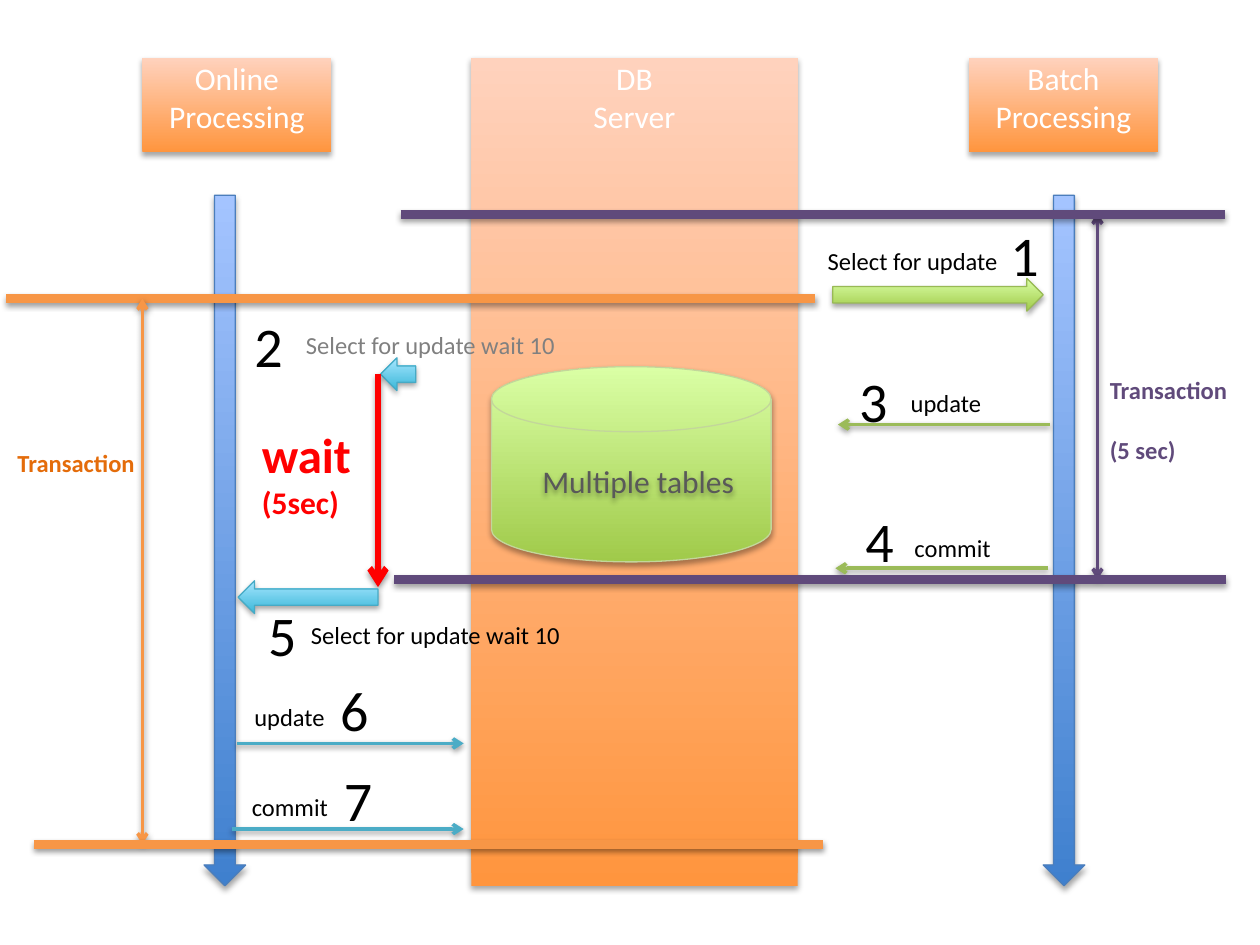
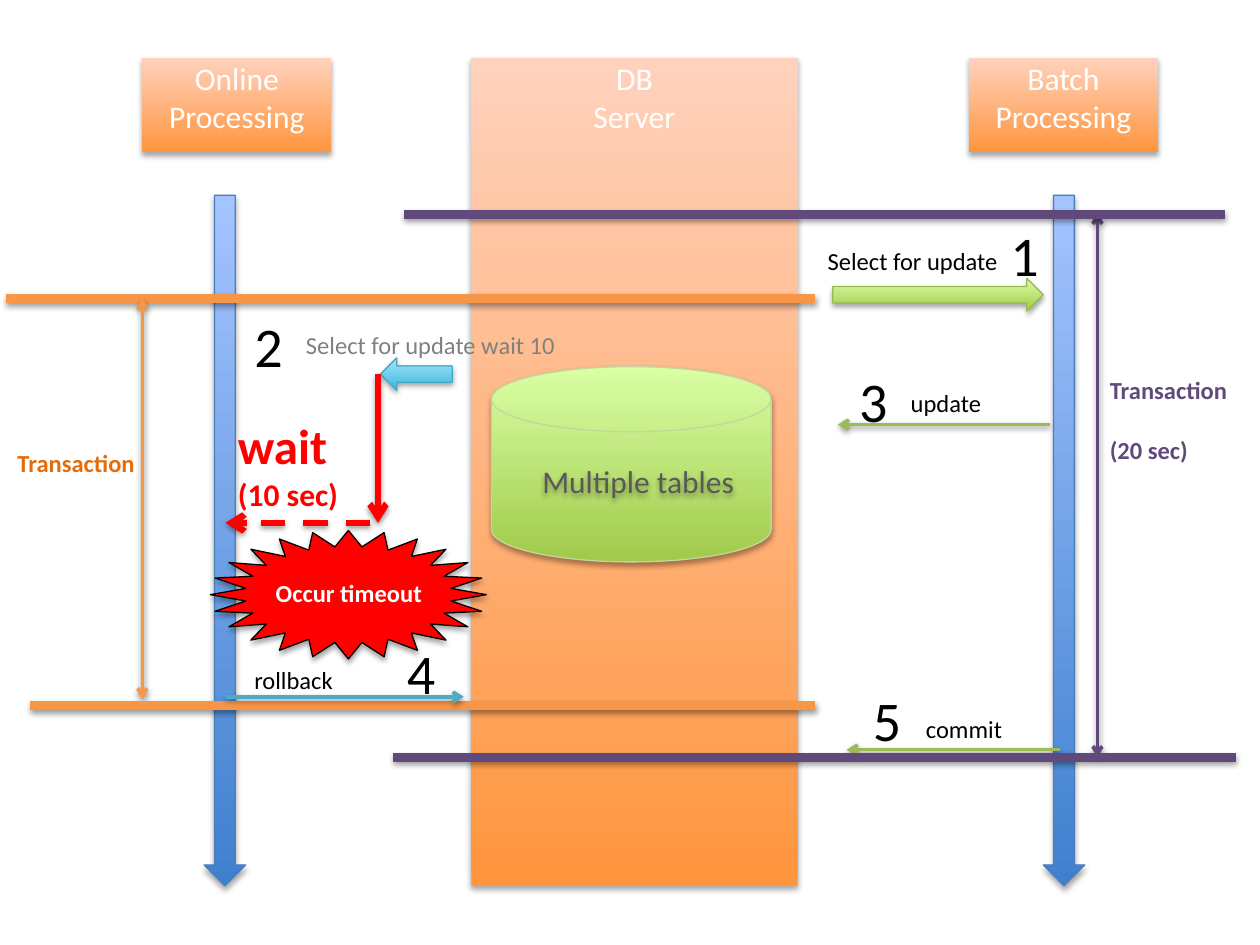
"""Build two sequence diagrams of online and batch transactions competing for row locks."""
from dataclasses import dataclass
from typing import Any, Optional, Union

import lxml.etree
import pptx
import pptx.dml.color
import pptx.enum.dml
import pptx.enum.shapes
import pptx.enum.text
import pptx.oxml.ns
import pptx.util

Inches = pptx.util.Inches
MSO = pptx.enum.shapes.MSO_SHAPE
ALIGN = pptx.enum.text.PP_ALIGN
ANCHOR = pptx.enum.text.MSO_ANCHOR


@dataclass(frozen=True)
class Skin:
    """Fill colours from bottom to top, and an optional outline."""
    bottom: str
    top: str
    outline: Optional[str] = None


@dataclass(frozen=True)
class Theme:
    """Colours, type sizes and line weights used on every slide."""
    font: str = "Calibri"
    black: str = "000000"
    white: str = "FFFFFF"
    gray: str = "808080"
    dark_gray: str = "595959"
    red: str = "FF0000"
    orange: str = "F79646"
    dark_orange: str = "E46C0A"
    purple: str = "604A7B"
    green: str = "9BBB59"
    teal: str = "4BACC6"
    number: float = 32
    alert: float = 28
    heading: float = 18
    caption: float = 14
    thin: float = 2
    medium: float = 3.5
    thick: float = 5
    outline: float = 0.75
    header: Skin = Skin("FF953E", "FFD2BD")
    lane: Skin = Skin("3F80CE", "A4C4FF", "4B7EBC")
    batch: Skin = Skin("A0CA4A", "DAFFA5", "98B955")
    online: Skin = Skin("39B7D8", "A7E6FF", "46AAC5")
    tables: Skin = Skin("A0CA4A", "DAFFA5", "C3D69B")
    burst: Skin = Skin("FF0000", "FF0000", "000000")


T = Theme()


@dataclass(frozen=True)
class Text:
    """One paragraph."""
    text: str
    size: float = T.caption
    color: str = T.black
    bold: bool = False
    before: float = 0


@dataclass(frozen=True)
class Label:
    """A text box at left, top, width, height."""
    box: tuple[float, float, float, float]
    lines: tuple[Text, ...]
    centered: bool = False


@dataclass(frozen=True)
class Block:
    """A preset shape, with heading lines if any."""
    kind: Any
    box: tuple[float, float, float, float]
    skin: Skin
    lines: tuple[str, ...] = ()


@dataclass(frozen=True)
class Line:
    """A straight line with optional arrowheads."""
    start: tuple[float, float]
    end: tuple[float, float]
    color: str
    weight: float = T.thin
    ends: tuple[str, ...] = ("tailEnd",)
    dashed: bool = False


Item = Union[Label, Block, Line]


def rgb(color: str) -> pptx.dml.color.RGBColor:
    """Turn a hex string into a colour."""
    return pptx.dml.color.RGBColor.from_string(color)


def add_node(parent: Any, tag: str, **attrs: str) -> Any:
    """Append a drawing element."""
    return lxml.etree.SubElement(parent, pptx.oxml.ns.qn(f"a:{tag}"), attrs)


def add_shadow(sp: Any, alpha: int, distance: float) -> None:
    """Give an object a soft shadow straight below it."""
    effects = add_node(sp._element.spPr, "effectLst")
    shadow = add_node(effects, "outerShdw", blurRad="40000", dist=str(pptx.util.Pt(distance)),
                      dir="5400000", rotWithShape="0")
    add_node(add_node(shadow, "srgbClr", val=T.black), "alpha", val=str(alpha * 1000))


def write(tf: Any, lines: tuple[Text, ...], align: Any) -> None:
    """Fill a text frame, one paragraph per line."""
    for i, line in enumerate(lines):
        p = tf.paragraphs[0] if i == 0 else tf.add_paragraph()
        p.alignment = align
        p.space_before = pptx.util.Pt(line.before)
        r = p.add_run()
        r.text = line.text
        style = {"name": T.font, "size": pptx.util.Pt(line.size), "bold": line.bold}
        for name, value in style.items():
            setattr(r.font, name, value)
        r.font.color.rgb = rgb(line.color)


def draw_label(slide: Any, label: Label) -> None:
    """Draw a text box."""
    sp = slide.shapes.add_textbox(*map(Inches, label.box))
    tf = sp.text_frame
    tf.word_wrap = True
    if label.centered:
        tf.vertical_anchor = ANCHOR.MIDDLE
        add_shadow(sp, 35, 1.8)
    write(tf, label.lines, ALIGN.CENTER if label.centered else ALIGN.LEFT)


def draw_block(slide: Any, block: Block) -> None:
    """Draw a gradient shape with its shadow and heading."""
    sp = slide.shapes.add_shape(block.kind, *map(Inches, block.box))
    skin = block.skin
    if skin.bottom == skin.top:
        sp.fill.solid()
        sp.fill.fore_color.rgb = rgb(skin.top)
    else:
        sp.fill.gradient()
        sp.fill.gradient_angle = 90
        for stop, color in zip(sp.fill.gradient_stops, (skin.bottom, skin.top)):
            stop.color.rgb = rgb(color)
    if skin.outline:
        sp.line.color.rgb = rgb(skin.outline)
        sp.line.width = pptx.util.Pt(T.outline)
    else:
        sp.line.fill.background()
    add_shadow(sp, 35, 1.8)
    if block.lines:
        frame = {"margin_left": Inches(0.08), "margin_right": Inches(0.08),
                 "margin_top": Inches(0.01), "margin_bottom": Inches(0.01),
                 "vertical_anchor": ANCHOR.TOP, "word_wrap": True}
        for name, value in frame.items():
            setattr(sp.text_frame, name, value)
        write(sp.text_frame, tuple(Text(t, T.heading, T.white) for t in block.lines), ALIGN.CENTER)


def draw_line(slide: Any, line: Line) -> None:
    """Draw a connector with its arrowheads and shadow."""
    cx = slide.shapes.add_connector(pptx.enum.shapes.MSO_CONNECTOR.STRAIGHT,
                                    *map(Inches, line.start + line.end))
    cx.line.color.rgb = rgb(line.color)
    cx.line.width = pptx.util.Pt(line.weight)
    if line.dashed:
        cx.line.dash_style = pptx.enum.dml.MSO_LINE.DASH
    for end in line.ends:
        add_node(cx.line._get_or_add_ln(), end, type="arrow")
    add_shadow(cx, 38, 1.6)


def number(text: str, x: float, y: float) -> Label:
    """Make a large step number."""
    return Label((x, y, 0.55, 0.48), (Text(text, T.number),))


def caption(text: str, x: float, y: float, w: float = 1.03, color: str = T.black) -> Label:
    """Make a step caption."""
    return Label((x, y, w, 0.25), (Text(text, color=color),))


def rule(x1: float, x2: float, y: float, color: str) -> Line:
    """Make a transaction boundary."""
    return Line((x1, y), (x2, y), color, T.thick, ())


def span(x: float, top: float, bottom: float, color: str) -> Line:
    """Make a two-headed arrow over a transaction."""
    return Line((x, top), (x, bottom), color, ends=("headEnd", "tailEnd"))


def flow(x1: float, x2: float, y: float, color: str) -> Line:
    """Make a horizontal message arrow."""
    return Line((x1, y), (x2, y), color)


def wait(x: float, y: float, duration: str, bottom: float) -> list[Item]:
    """Make the red waiting arrow and its text."""
    return [Label((x, y, 1.52, 0.52), (Text("wait", T.alert, T.red, True),
                                       Text(duration, T.heading, T.red, True))),
            Line((3, 2.97), (3, bottom), T.red, T.medium)]


def backdrop() -> list[Item]:
    """List the server, the lanes and the lane headers."""
    lanes = [Block(MSO.DOWN_ARROW, (x, 1.55, 0.33, 5.48), T.lane) for x in (1.62, 8.28)]
    headers = [Block(MSO.RECTANGLE, (x, 0.46, 1.5, 0.75), T.header, (name, "Processing"))
               for x, name in ((1.13, "Online"), (7.69, "Batch"))]
    return [Block(MSO.RECTANGLE, (3.74, 0.46, 2.59, 6.57), T.header, ("DB", "Server")),
            *lanes, *headers]


def opening(batch_left: float, duration: str, online_end: float, batch_end: float,
            request_width: float) -> list[Item]:
    """List the transactions and the first three steps."""
    return [
        rule(0.05, 6.47, 2.37, T.orange),
        span(1.13, 2.37, online_end, T.orange),
        Label((0.04, 3.51, 1.21, 0.25), (Text("Transaction", color=T.dark_orange, bold=True),)),
        Label((8.71, 2.93, 1.25, 0.75), (Text("Transaction", color=T.purple, bold=True),
                                         Text(duration, color=T.purple, bold=True, before=17))),
        span(8.71, 1.69, batch_end, T.purple),
        rule(batch_left, 9.72, 1.7, T.purple),
        number("1", 7.92, 1.7), caption("Select for update", 6.47, 1.9, 1.81),
        Block(MSO.RIGHT_ARROW, (6.61, 2.21, 1.67, 0.26), T.batch),
        number("2", 1.92, 2.42), caption("Select for update wait 10", 2.33, 2.57, 2.71, T.gray),
        Block(MSO.LEFT_ARROW, (3.02, 2.84, request_width, 0.26), T.online),
        number("3", 6.72, 2.86), caption("update", 7.13, 3.03), flow(8.33, 6.65, 3.37, T.green),
    ]


def database() -> list[Item]:
    """List the table store and its name."""
    return [Block(MSO.FLOWCHART_MAGNETIC_DISK, (3.9, 2.91, 2.22, 1.55), T.tables),
            Label((4.09, 3.51, 1.95, 0.62),
                  (Text("Multiple tables", T.heading, T.dark_gray),), True)]


LOCK_ACQUIRED = [
    *opening(3.18, "(5 sec)", 6.7, 4.6, 0.28),
    number("4", 6.77, 3.97), caption("commit", 7.16, 4.18), flow(8.32, 6.63, 4.51, T.green),
    rule(3.13, 9.73, 4.6, T.purple),
    *wait(1.98, 3.32, "(5sec)", 4.66),
    Block(MSO.LEFT_ARROW, (1.89, 4.61, 1.11, 0.26), T.online),
    number("5", 2.03, 4.72), caption("Select for update wait 10", 2.37, 4.87, 2.4),
    number("6", 2.6, 5.31), caption("update", 1.92, 5.52), flow(1.88, 3.68, 5.9, T.teal),
    number("7", 2.63, 6.03), caption("commit", 1.9, 6.24), flow(1.84, 3.68, 6.58, T.teal),
    rule(0.27, 6.53, 6.7, T.orange),
]

LOCK_TIMEOUT = [
    *opening(3.21, "(20 sec)", 5.55, 6.01, 0.57),
    number("5", 6.83, 5.39), caption("commit", 7.25, 5.62), flow(8.41, 6.72, 5.95, T.green),
    rule(3.12, 9.81, 6.01, T.purple), rule(0.24, 6.47, 5.6, T.orange),
    *wait(1.79, 3.25, "(10 sec)", 4.15),
    Block(MSO.STAR_24_POINT, (1.67, 4.21, 2.19, 1.02), T.burst),
    Label((2.09, 4.54, 1.7, 0.62), (Text("Occur timeout", color=T.white, bold=True),)),
    number("4", 3.13, 5.02), caption("rollback", 1.92, 5.23), flow(1.79, 3.68, 5.53, T.teal),
    Line((2.94, 4.15), (1.79, 4.15), T.red, T.medium, dashed=True),
]

DRAW = {Label: draw_label, Block: draw_block, Line: draw_line}


def main() -> None:
    """Build and save the slides."""
    prs = pptx.Presentation()
    prs.slide_width, prs.slide_height = Inches(10), Inches(7.5)
    for scenario in (LOCK_ACQUIRED, LOCK_TIMEOUT):
        slide = prs.slides.add_slide(prs.slide_layouts[6])
        for item in [*backdrop(), *scenario, *database()]:
            DRAW[type(item)](slide, item)
    prs.save("out.pptx")


main()
